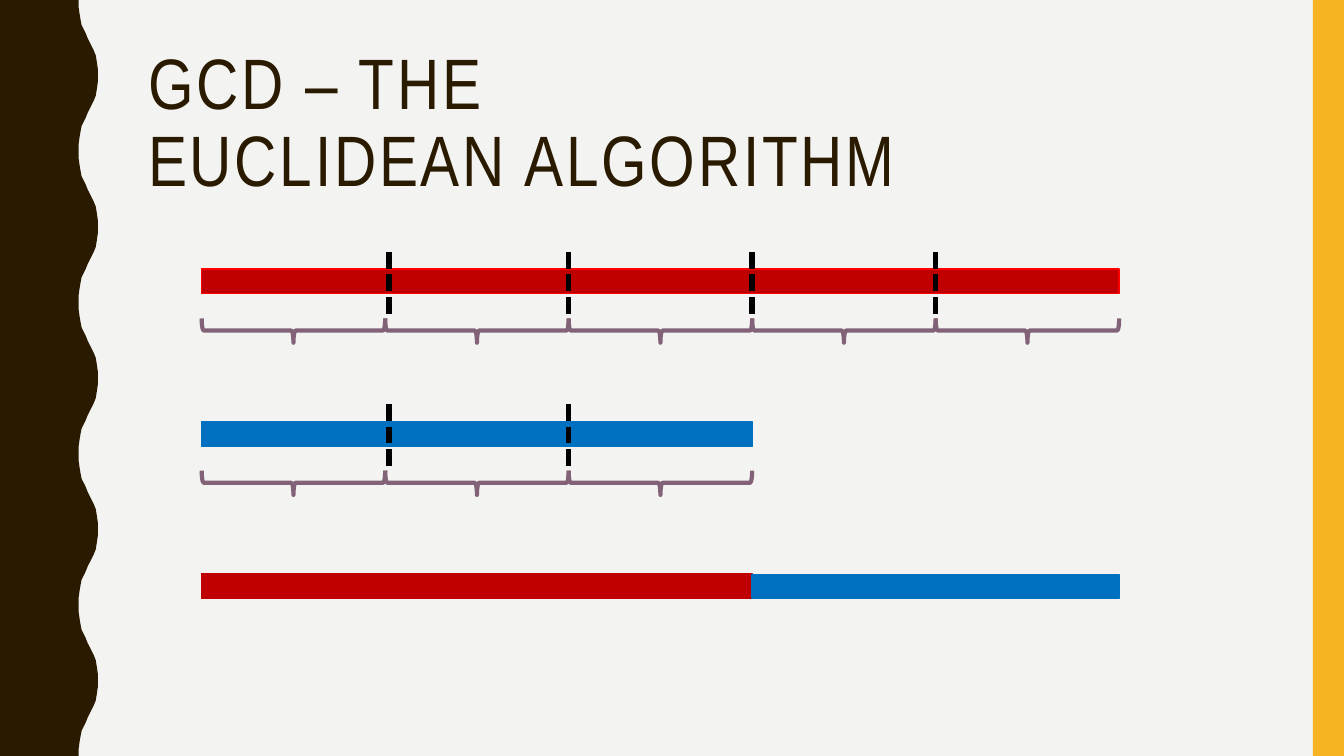
import pptx
import pptx.util
import pptx.dml.color
import pptx.enum.dml
import pptx.enum.shapes
import pptx.enum.text
import pptx.oxml.ns

Inches = pptx.util.Inches
SHAPES = pptx.enum.shapes.MSO_SHAPE

BROWN, GOLD, PAPER = "2A1A00", "F8B323", "F3F3F2"
RED, BRIGHT_RED, BLUE = "C00000", "FF0000", "0070C0"
MAUVE, BLACK = "826276", "000000"

BAR_LEFT = 2
UNIT = 1.82
BRACE_DEPTH = 0.24
DIVIDERS = [3.86, 5.64, 7.46, 9.28]
NO_BREAK_SPACE = chr(160)

WAVE_PERIOD = 1.5
HALF_WAVE = [
    (0.78, 0), (0.78, 0.07), (0.79, 0.14), (0.8, 0.2), (0.81, 0.25),
    (0.83, 0.29), (0.85, 0.33), (0.87, 0.38), (0.89, 0.42), (0.91, 0.46),
    (0.93, 0.5), (0.95, 0.55), (0.96, 0.61), (0.97, 0.68), (0.97, 0.75),
]


def color(value):
    return pptx.dml.color.RGBColor.from_string(value)


def set_all(target, formats):
    for name, value in formats.items():
        setattr(target, name, value)


def paint(shape, fill=None, line=None, weight=1):
    shape.shadow.inherit = False
    if fill:
        shape.fill.solid()
        shape.fill.fore_color.rgb = color(fill)
    else:
        shape.fill.background()
    if line:
        shape.line.color.rgb = color(line)
        shape.line.width = pptx.util.Pt(weight)
    else:
        shape.line.fill.background()


def add_bar(page, left, top, width, height, fill, line=None):
    bar = page.shapes.add_shape(
        SHAPES.RECTANGLE, Inches(left), Inches(top), Inches(width), Inches(height))
    paint(bar, fill, line)


def add_wave(page):
    period = HALF_WAVE + [(x, WAVE_PERIOD - y) for x, y in HALF_WAVE[-2::-1]]
    edge = [(x, y + i * WAVE_PERIOD) for i in range(5) for x, y in period]
    outline = edge + [(0, 7.5)]
    builder = page.shapes.build_freeform(0, 0)
    builder.add_line_segments([(Inches(x), Inches(y)) for x, y in outline], close=True)
    paint(builder.convert_to_shape(), BROWN)


def add_braces(page, count, middle):
    for i in range(count):
        center = BAR_LEFT + (i + 0.5) * UNIT
        brace = page.shapes.add_shape(
            SHAPES.RIGHT_BRACE,
            Inches(center - BRACE_DEPTH / 2), Inches(middle - UNIT / 2),
            Inches(BRACE_DEPTH), Inches(UNIT))
        brace.rotation = 90
        paint(brace, line=MAUVE, weight=3)


def add_dividers(page, count, top):
    for x in DIVIDERS[:count]:
        divider = page.shapes.add_connector(
            pptx.enum.shapes.MSO_CONNECTOR.STRAIGHT,
            Inches(x), Inches(top), Inches(x), Inches(top + 0.66))
        divider.line.color.rgb = color(BLACK)
        set_all(divider.line, {
            "width": pptx.util.Pt(4),
            "dash_style": pptx.enum.dml.MSO_LINE.SQUARE_DOT,
        })
        properties = divider.element.find(pptx.oxml.ns.qn("p:spPr"))
        properties.append(pptx.oxml.parse_xml(
            f'<a:effectLst {pptx.oxml.ns.nsdecls("a")}/>'))


def add_title(page, text):
    box = page.shapes.add_textbox(
        Inches(1.37), Inches(0.42), Inches(11.13), Inches(1.63))
    set_all(box.text_frame, {
        "word_wrap": True,
        "vertical_anchor": pptx.enum.text.MSO_ANCHOR.MIDDLE,
    })
    para = box.text_frame.paragraphs[0]
    para.line_spacing = 0.9
    span = para.add_run()
    span.text = text
    set_all(span.font, {"name": "Arial Narrow", "size": pptx.util.Pt(51)})
    span.font.color.rgb = color(BROWN)
    span.font._element.set("spc", "200")


def main():
    deck = pptx.Presentation()
    set_all(deck, {"slide_width": Inches(13.33), "slide_height": Inches(7.5)})
    page = deck.slides.add_slide(deck.slide_layouts[6])
    page.background.fill.solid()
    page.background.fill.fore_color.rgb = color(PAPER)

    add_wave(page)
    add_bar(page, 13.02, 0, 0.31, 7.5, GOLD)
    add_title(page, f"GCD – THE EUCLIDEAN{NO_BREAK_SPACE}ALGORITHM")

    add_bar(page, BAR_LEFT, 2.67, 5 * UNIT, 0.24, RED, BRIGHT_RED)
    add_braces(page, 5, 3.28)
    add_dividers(page, 4, 2.5)

    add_bar(page, BAR_LEFT, 4.18, 3 * UNIT, 0.25, BLUE, BLUE)
    add_braces(page, 3, 4.79)
    add_dividers(page, 2, 4.01)

    add_bar(page, BAR_LEFT, 5.69, 3 * UNIT, 0.25, RED, RED)
    add_bar(page, BAR_LEFT + 3 * UNIT, 5.7, 2 * UNIT, 0.24, BLUE, BLUE)
    deck.save("out.pptx")


if __name__ == "__main__":
    main()
